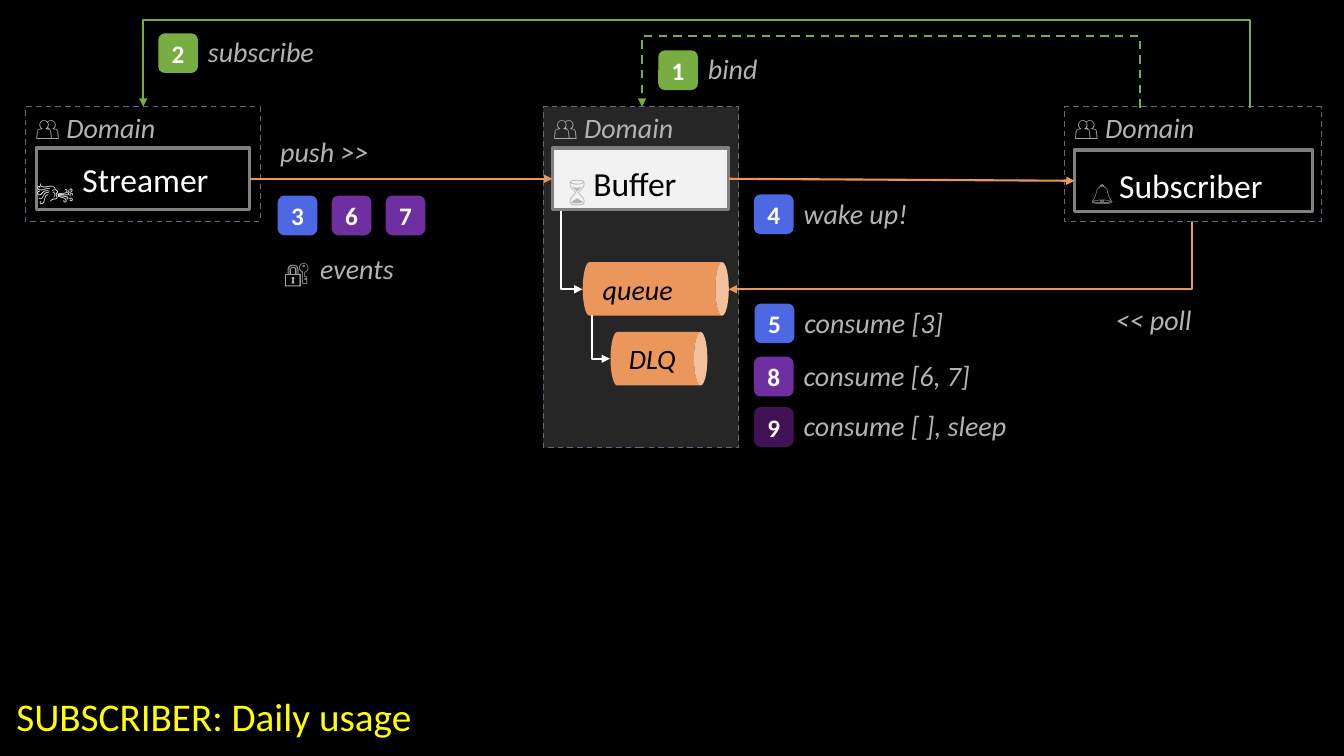
"""Build the subscriber daily usage slide."""
from lxml.etree import SubElement
from pptx import Presentation
from pptx.dml.color import RGBColor
from pptx.enum.dml import MSO_LINE
from pptx.enum.shapes import MSO_CONNECTOR, MSO_SHAPE
from pptx.enum.text import MSO_ANCHOR, MSO_AUTO_SIZE, PP_ALIGN
from pptx.oxml.ns import qn
from pptx.util import Cm, Pt

FONT = "Calibri"
BLACK, WHITE, GREY = "000000", "FFFFFF", "B3B3B3"
ORANGE, GREEN, BLUE, PURPLE, PLUM = "EB975C", "77AD41", "4E68E3", "702FA0", "411256"
TITLE = "SUBSCRIBER: Daily usage"

# left, top, width, height, fill
DOMAINS = [
    (13.69, 2.69, 4.93, 8.59, "262626"),
    (0.64, 2.69, 5.92, 2.9, None),
    (26.82, 2.69, 6.48, 2.9, None),
]
# name, icon, icon colour, name colour, fill, box, left inset
PARTS = {
    "streamer": ("Streamer", "", WHITE, WHITE, BLACK, (0.91, 3.73, 5.38, 1.55), 1.17),
    "buffer": (" Buffer", "⌛", GREY, BLACK, "F2F2F2", (13.92, 3.73, 4.45, 1.55), 0.41),
    "subscriber": ("Subscriber", "🔔 ", WHITE, WHITE, BLACK, (27.08, 3.78, 5.99, 1.55), 0.41),
}
CANS = [(15.85, 5.44, 1.35, 3.68), (15.93, 7.82, 1.35, 2.44)]
# number, fill, left, top, label, label width
STEPS = [
    ("1", GREEN, 16.59, 1.27, "bind", 3.48),
    ("2", GREEN, 3.99, 0.84, "subscribe", 3.48),
    ("3", BLUE, 7.0, 4.93, None, 0),
    ("6", PURPLE, 8.36, 4.93, None, 0),
    ("7", PURPLE, 9.72, 4.93, None, 0),
    ("4", BLUE, 19, 4.9, "wake up!", 3.48),
    ("5", BLUE, 19.02, 7.65, "consume [3]", 5.59),
    ("8", PURPLE, 19, 8.99, "consume [6, 7]", 5.59),
    ("9", PLUM, 19, 10.26, "consume [ ], sleep", 6.63),
]
# text, box, size, colour, italic, baseline, alignment, anchor
LABELS = [
    ("push >>", (6.81, 3.25, 3.48, 1.12), 20, GREY, True, 0, PP_ALIGN.LEFT, MSO_ANCHOR.TOP),
    ("<< poll", (27.08, 7.49, 3.2, 1.12), 20, GREY, True, 0, PP_ALIGN.RIGHT, MSO_ANCHOR.TOP),
    ("events", (7.82, 6.2, 3.96, 1.12), 20, GREY, True, 0, PP_ALIGN.LEFT, MSO_ANCHOR.TOP),
    ("🔐", (6.91, 6.35, 1.65, 1.02), 18, GREY, False, 0, PP_ALIGN.LEFT, MSO_ANCHOR.TOP),
    ("🌬️", (0.69, 3.35, 2.49, 2.13), 44, WHITE, False, -9, PP_ALIGN.LEFT, MSO_ANCHOR.TOP),
    ("queue", (14.94, 6.86, 2.84, 0.84), 20, BLACK, True, 0, PP_ALIGN.LEFT, MSO_ANCHOR.MIDDLE),
    ("DLQ", (15.6, 8.48, 2.24, 1.12), 20, BLACK, True, 0, PP_ALIGN.LEFT, MSO_ANCHOR.MIDDLE),
]
PUSHES = [("streamer", "buffer"), ("buffer", "subscriber")]
# start, end, lane height for routes over the top, colour, dashed
ELBOWS = [
    ((14.15, 5.33), (14.68, 7.29), None, WHITE, False),
    ((14.91, 7.95), (15.37, 9.04), None, WHITE, False),
    ((30.05, 5.59), (18.36, 7.29), None, ORANGE, False),
    ((28.73, 2.72), (16.18, 2.69), 0.91, GREEN, True),
    ((31.5, 2.72), (3.61, 2.69), 0.5, GREEN, False),
]


def rgb(value):
    return RGBColor.from_string(value)


def add_run(p, text, size, color, italic=False, bold=False, baseline=0):
    r = p.add_run()
    r.text = text
    f = r.font
    f.name, f.size, f.italic, f.bold = FONT, Pt(size), italic, bold
    f.color.rgb = rgb(color)
    if baseline:
        f._element.set("baseline", str(baseline * 1000))


def set_frame(tf, insets, anchor, wrap=True):
    tf.margin_left, tf.margin_top, tf.margin_right, tf.margin_bottom = map(Cm, insets)
    tf.vertical_anchor, tf.word_wrap = anchor, wrap


def add_box(kind, box, fill=None, line=None, width=1):
    sp = slide.shapes.add_shape(kind, *map(Cm, box))
    sp.shadow.inherit = False
    if fill:
        sp.fill.solid()
        sp.fill.fore_color.rgb = rgb(fill)
    else:
        sp.fill.background()
    if line:
        sp.line.color.rgb = rgb(line)
        sp.line.width = Pt(width)
    else:
        sp.line.fill.background()
    return sp


def add_label(text, box, size, color, italic, baseline, align, anchor):
    tf = slide.shapes.add_textbox(*map(Cm, box)).text_frame
    set_frame(tf, (0.25, 0.13, 0.25, 0.13), anchor)
    p = tf.paragraphs[0]
    p.alignment = align
    add_run(p, text, size, color, italic, baseline=baseline)


def add_arrow(kind, start, end, color, dashed=False):
    cxn = slide.shapes.add_connector(kind, *map(Cm, start + end))
    cxn.line.color.rgb = rgb(color)
    cxn.line.width = Pt(1.5)
    if dashed:
        cxn.line.dash_style = MSO_LINE.DASH
    SubElement(cxn.line._get_or_add_ln(), qn("a:tailEnd"), type="triangle")
    SubElement(cxn._element.spPr, qn("a:effectLst"))
    return cxn


def add_elbow(start, end, lane, color, dashed):
    """Draw a vertical-first elbow as a horizontal one turned a quarter."""
    (x1, y1), (x2, y2) = start, end
    cx, cy = (x1 + x2) / 2, (y1 + y2) / 2
    half_w, half_h = abs(y2 - y1) / 2, abs(x2 - x1) / 2
    if (x2 > x1) == (y2 > y1):
        half_h = -half_h
    cxn = add_arrow(MSO_CONNECTOR.ELBOW, (cx - half_w, cy - half_h),
                    (cx + half_w, cy + half_h), color, dashed)
    cxn._element.spPr.find(qn("a:xfrm")).set("rot", str((90 if y2 > y1 else 270) * 60000))
    geom = cxn._element.spPr.find(qn("a:prstGeom"))
    if lane is None:
        geom.set("prst", "bentConnector2")
    else:
        adj = round((y1 - lane) / (y1 - y2) * 100000)
        SubElement(geom.find(qn("a:avLst")), qn("a:gd"), name="adj1", fmla=f"val {adj}")


prs = Presentation()
prs.slide_width, prs.slide_height = Cm(33.87), Cm(19.05)
slide = prs.slides.add_slide(prs.slide_layouts[5])
slide.background.fill.solid()
slide.background.fill.fore_color.rgb = rgb(BLACK)

title = slide.shapes.title
title.left, title.top, title.width, title.height = map(Cm, (0.41, 17.32, 11.38, 1.45))
set_frame(title.text_frame, (0, 0.13, 0, 0.13), MSO_ANCHOR.TOP, False)
title.text_frame.auto_size = MSO_AUTO_SIZE.NONE
p = title.text_frame.paragraphs[0]
p.alignment = PP_ALIGN.LEFT
add_run(p, TITLE, 28, "FFFF00")

for *box, fill in DOMAINS:
    sp = add_box(MSO_SHAPE.RECTANGLE, box, fill, "5A6B86")
    sp.line.dash_style = MSO_LINE.DASH
    set_frame(sp.text_frame, (0.25, 0.1, 0.25, 0.13), MSO_ANCHOR.TOP)
    p = sp.text_frame.paragraphs[0]
    p.alignment = PP_ALIGN.LEFT
    add_run(p, "👥 ", 20, GREY)
    add_run(p, "Domain", 20, GREY, italic=True)

parts = {}
for key, (name, icon, icon_color, color, fill, box, inset) in PARTS.items():
    sp = parts[key] = add_box(MSO_SHAPE.RECTANGLE, box, fill, "808080", 2.25)
    set_frame(sp.text_frame, (inset, 0.41, 0.41, 0.41), MSO_ANCHOR.MIDDLE)
    p = sp.text_frame.paragraphs[0]
    p.alignment = PP_ALIGN.LEFT
    if icon:
        add_run(p, icon, 32, icon_color, baseline=-9)
    add_run(p, name, 24, color)

for box in CANS:
    add_box(MSO_SHAPE.CAN, box, ORANGE).rotation = 90

for source, target in PUSHES:
    cxn = add_arrow(MSO_CONNECTOR.STRAIGHT, (0, 0), (1, 1), ORANGE)
    cxn.begin_connect(parts[source], 3)
    cxn.end_connect(parts[target], 1)

for elbow in ELBOWS:
    add_elbow(*elbow)

for number, fill, left, top, label, width in STEPS:
    sp = add_box(MSO_SHAPE.ROUNDED_RECTANGLE, (left, top, 1, 1), fill)
    set_frame(sp.text_frame, (0.13,) * 4, MSO_ANCHOR.MIDDLE)
    p = sp.text_frame.paragraphs[0]
    p.alignment = PP_ALIGN.CENTER
    add_run(p, number, 18, WHITE, bold=True)
    if label:
        add_label(label, (left + 1, top - 0.09, width, 1.12), 20, GREY, True, 0,
                  PP_ALIGN.LEFT, MSO_ANCHOR.TOP)

for label in LABELS:
    add_label(*label)

prs.save("out.pptx")
